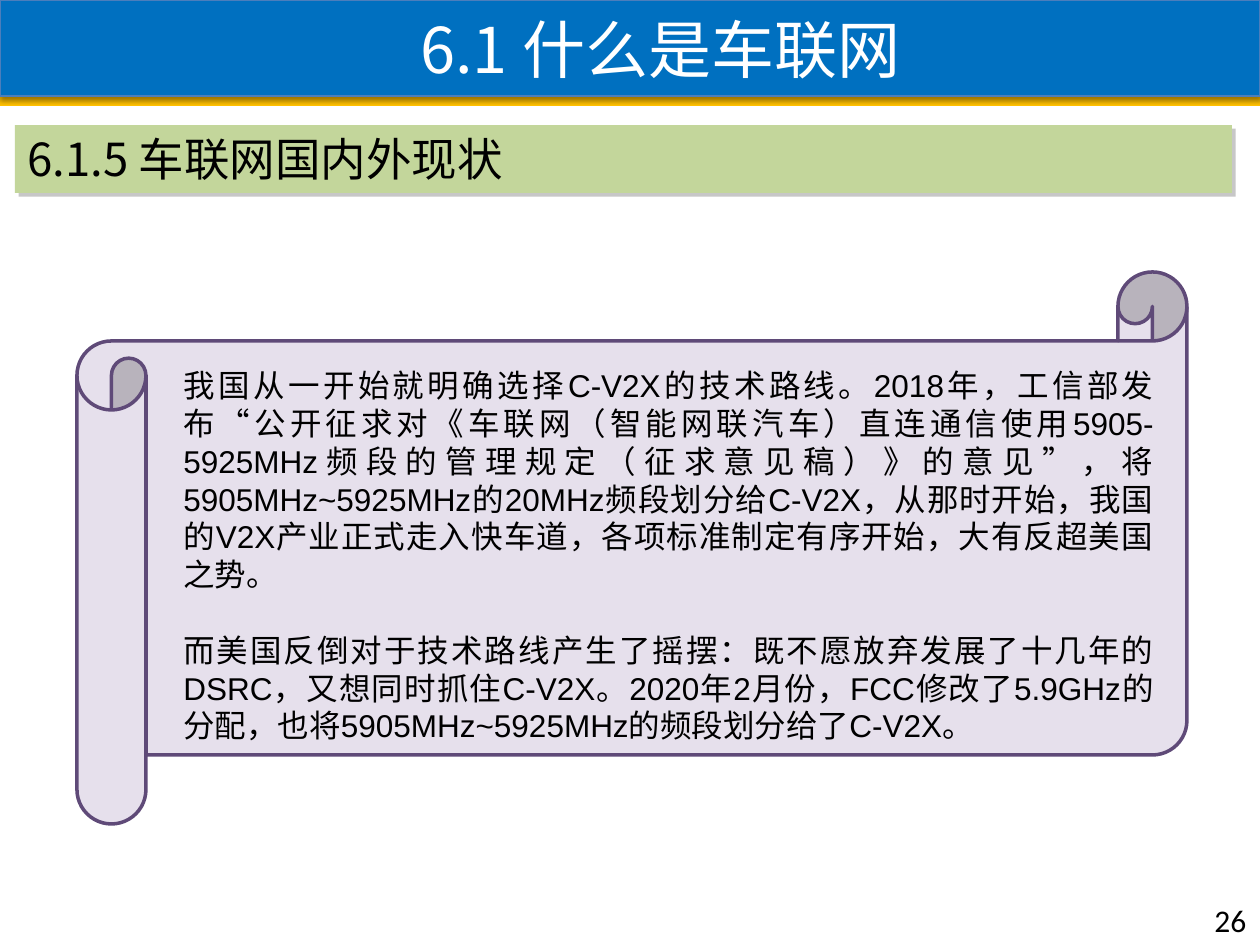
from dataclasses import dataclass

from lxml import etree
from pptx import Presentation, util as u
from pptx.dml.color import RGBColor
from pptx.enum import lang, shapes, text
from pptx.oxml import ns

SCALE = u.Inches(1) / 126


@dataclass(frozen=True)
class Theme:
    """Colours, fonts and type sizes of the slide."""
    gold: str = "FFC000"
    blue: str = "0070C0"
    edge: str = "4B7EBC"
    green: str = "C3D69B"
    lilac: str = "E6E0EC"
    plum: str = "5F4A78"
    white: str = "FFFFFF"
    black: str = "000000"
    grey: str = "808080"
    hans: str = "Noto Sans CJK SC"
    sans: str = "Arial"
    digit: str = "Calibri"
    title: int = 36
    head: int = 26
    body: int = 18
    gap: float = 21.6


def px(n):
    """Turn px into EMU."""
    return u.Emu(round(n * SCALE))


class Deck:
    """Holds the theme and the current slide, and draws on it."""

    def __init__(self, theme):
        """Open a deck with one blank slide."""
        self.theme = theme
        self.file = Presentation()
        self.file.slide_width, self.file.slide_height = px(1260), px(945)
        self.slide = self.file.slides.add_slide(self.file.slide_layouts[6])

    def shape(self, kind, box, fill, line=None, width=1):
        """Draw a filled preset shape."""
        item = self.slide.shapes.add_shape(kind, *map(px, box))
        item.shadow.inherit = False
        item.fill.solid()
        item.fill.fore_color.rgb = RGBColor.from_string(fill)
        if line:
            item.line.color.rgb = RGBColor.from_string(line)
            item.line.width = u.Pt(width)
        else:
            item.line.fill.background()
        return item

    def shade(self, item, color, alpha, blur, dist, angle):
        """Cast an outer shadow from a shape."""
        root = item._element.spPr.find(ns.qn("a:effectLst"))
        cast = etree.SubElement(
            root, ns.qn("a:outerShdw"), blurRad=str(u.Pt(blur)), dist=str(u.Pt(dist)),
            dir=str(angle * 60000), algn="t" if angle == 90 else "tl", rotWithShape="0")
        tone = etree.SubElement(cast, ns.qn("a:srgbClr"), val=color)
        etree.SubElement(tone, ns.qn("a:alpha"), val=str(alpha * 1000))

    def words(self, item, lines, size, font, color, align="LEFT", anchor="TOP"):
        """Fill a shape with styled paragraphs."""
        frame = item.text_frame
        frame.word_wrap = True
        frame.vertical_anchor = text.MSO_ANCHOR[anchor]
        frame.text = "\n".join(lines)
        for i, para in enumerate(frame.paragraphs):
            para.alignment = text.PP_ALIGN[align]
            if i:
                para.space_before = u.Pt(self.theme.gap)
            for run in para.runs:
                run.font.size = u.Pt(size)
                run.font.name = font
                run.font.color.rgb = RGBColor.from_string(color)
                run.font.language_id = lang.MSO_LANGUAGE_ID.SIMPLIFIED_CHINESE
                latin = run.font._element.find(ns.qn("a:latin"))
                east = etree.Element(ns.qn("a:ea"), typeface=self.theme.hans)
                latin.addnext(east)
        return frame

    def label(self, box, lines, size, font, align="LEFT"):
        """Add a text box."""
        item = self.slide.shapes.add_textbox(*map(px, box))
        return self.words(item, lines, size, font, self.theme.black, align)


def main():
    """Build the slide and save it."""
    t = Theme()
    deck = Deck(t)
    kind = shapes.MSO_SHAPE

    deck.shape(kind.RECTANGLE, (0, 96, 1260, 10), t.gold)
    title = deck.shape(kind.RECTANGLE, (0, 0, 1260, 96), t.blue, t.edge, 0.75)
    deck.shade(title, t.black, 38, 3.1, 1.6, 90)
    frame = deck.words(title, ["6.1 什么是车联网"], t.title, t.hans, t.white, "CENTER", "MIDDLE")
    frame.margin_left = px(73)

    head = deck.shape(kind.RECTANGLE, (15, 125, 1217, 68), t.green)
    deck.shade(head, t.grey, 43, 0, 3, 45)
    deck.words(head, ["6.1.5 车联网国内外现状"], t.head, t.hans, t.black)

    deck.shape(kind.HORIZONTAL_SCROLL, (77, 272, 1110, 552), t.lilac, t.plum, 2)
    deck.label((171, 360, 995, 394), [
        "我国从一开始就明确选择C-V2X的技术路线。2018年，工信部发布“公开征求对《车联网（智能网联汽车）"
        "直连通信使用5905-5925MHz频段的管理规定（征求意见稿）》的意见”，将5905MHz~5925MHz的20MHz"
        "频段划分给C-V2X，从那时开始，我国的V2X产业正式走入快车道，各项标准制定有序开始，大有反超美国之势。",
        "而美国反倒对于技术路线产生了摇摆：既不愿放弃发展了十几年的DSRC，又想同时抓住C-V2X。"
        "2020年2月份，FCC修改了5.9GHz的分配，也将5905MHz~5925MHz的频段划分给了C-V2X。",
    ], t.body, t.sans, "JUSTIFY")
    deck.label((1202, 895, 59, 50), ["26"], t.body, t.digit)

    deck.file.save("out.pptx")


if __name__ == "__main__":
    main()
